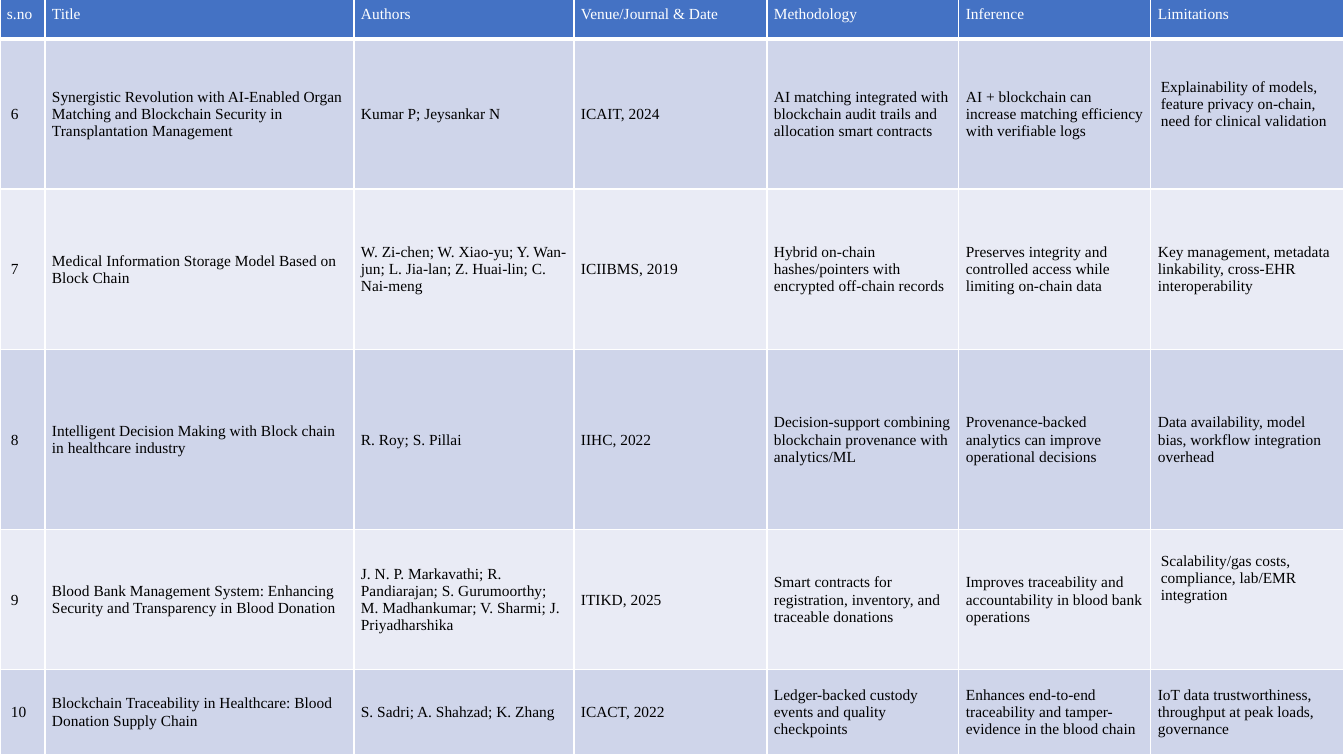
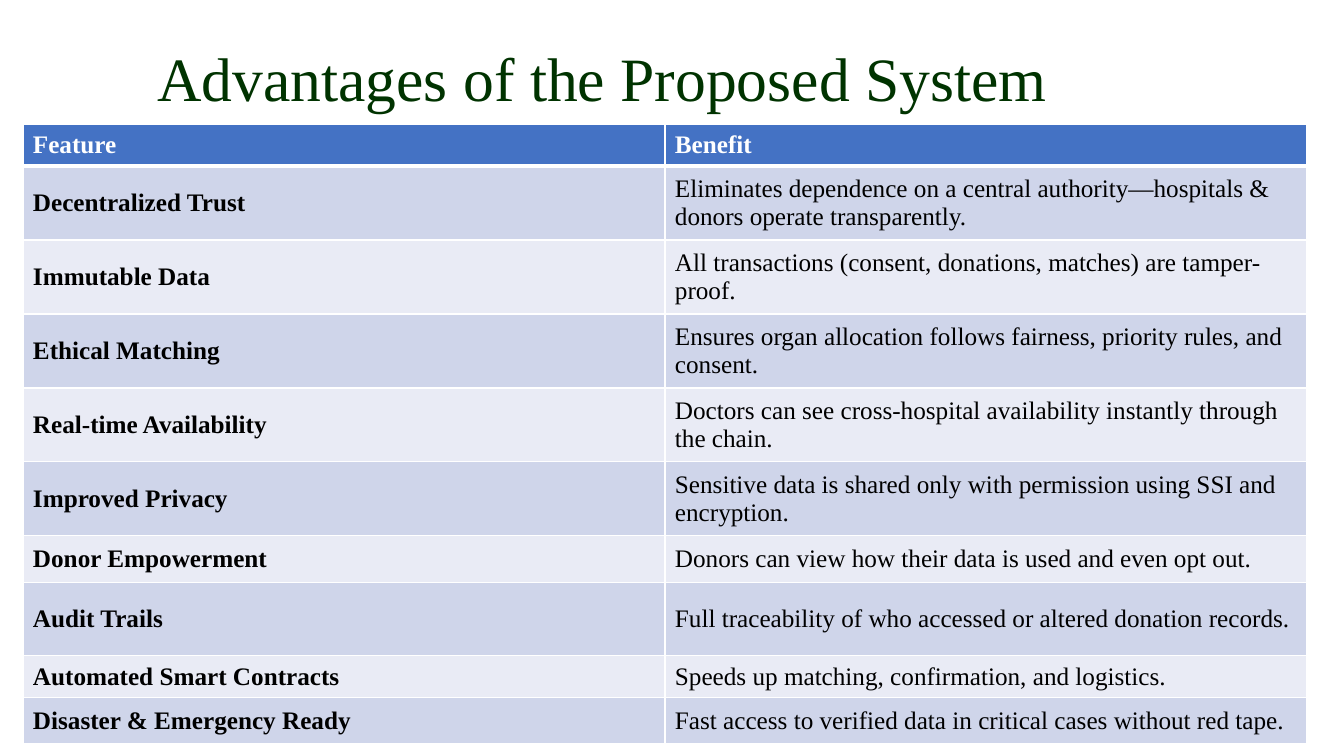
from lxml import etree
from pptx import Presentation
from pptx.dml.color import RGBColor
from pptx.enum.text import MSO_ANCHOR, PP_ALIGN
from pptx.oxml.ns import qn
from pptx.util import Pt

TOP, MIDDLE = MSO_ANCHOR.TOP, MSO_ANCHOR.MIDDLE
CENTER = PP_ALIGN.CENTER
FONT = "Times New Roman"
COLORS = {"head": "4472C4", "odd": "CFD5EA", "even": "E9EBF5", "rule": "FFFFFF",
          "light": "FFFFFF", "dark": "000000", "title": "003300"}
WIDE, HIGH = 1344, 756

PAPERS = [
    ("s.no", "Title", "Authors", "Venue/Journal & Date", "Methodology", "Inference", "Limitations"),
    ("6",
     "Synergistic Revolution with AI-Enabled Organ Matching and Blockchain Security in Transplantation Management",
     "Kumar P; Jeysankar N",
     "ICAIT, 2024",
     "AI matching integrated with blockchain audit trails and allocation smart contracts",
     "AI + blockchain can increase matching efficiency with verifiable logs",
     "Explainability of models, feature privacy on-chain, need for clinical validation"),
    ("7",
     "Medical Information Storage Model Based on Block Chain",
     "W. Zi-chen; W. Xiao-yu; Y. Wan-jun; L. Jia-lan; Z. Huai-lin; C. Nai-meng",
     "ICIIBMS, 2019",
     "Hybrid on-chain hashes/pointers with encrypted off-chain records",
     "Preserves integrity and controlled access while limiting on-chain data",
     "Key management, metadata linkability, cross-EHR interoperability"),
    ("8",
     "Intelligent Decision Making with Block chain in healthcare industry",
     "R. Roy; S. Pillai",
     "IIHC, 2022",
     "Decision-support combining blockchain provenance with analytics/ML",
     "Provenance-backed analytics can improve operational decisions",
     "Data availability, model bias, workflow integration overhead"),
    ("9",
     "Blood Bank Management System: Enhancing Security and Transparency in Blood Donation",
     "J. N. P. Markavathi; R. Pandiarajan; S. Gurumoorthy; M. Madhankumar; V. Sharmi; J. Priyadharshika",
     "ITIKD, 2025",
     "Smart contracts for registration, inventory, and traceable donations",
     "Improves traceability and accountability in blood bank operations",
     "Scalability/gas costs, compliance, lab/EMR integration"),
    ("10",
     "Blockchain Traceability in Healthcare: Blood Donation Supply Chain",
     "S. Sadri; A. Shahzad; K. Zhang",
     "ICACT, 2022",
     "Ledger-backed custody events and quality checkpoints",
     "Enhances end-to-end traceability and tamper-evidence in the blood chain",
     "IoT data trustworthiness, throughput at peak loads, governance"),
]
HEADING = "Advantages of the Proposed System"
GAINS = [
    ("Feature", "Benefit"),
    ("Decentralized Trust",
     "Eliminates dependence on a central authority—hospitals & donors operate transparently."),
    ("Immutable Data", "All transactions (consent, donations, matches) are tamper-proof."),
    ("Ethical Matching", "Ensures organ allocation follows fairness, priority rules, and consent."),
    ("Real-time Availability", "Doctors can see cross-hospital availability instantly through the chain."),
    ("Improved Privacy", "Sensitive data is shared only with permission using SSI and encryption."),
    ("Donor Empowerment", "Donors can view how their data is used and even opt out."),
    ("Audit Trails", "Full traceability of who accessed or altered donation records."),
    ("Automated Smart Contracts", "Speeds up matching, confirmation, and logistics."),
    ("Disaster & Emergency Ready", "Fast access to verified data in critical cases without red tape."),
]

PAPER_GRID = {"left": 0, "top": -1, "cols": [45, 309, 220, 193, 192, 192, 193],
              "rows": [40, 150, 161, 180, 140, 85]}
GAIN_GRID = {"left": 23, "top": 124, "cols": [642] * 2,
             "rows": [42] + [74] * 5 + [47, 73, 42, 46]}
LOWERED = {(1, 6): 40, (4, 6): 23}


def px(n):
    return round(n * 914400 / 100.8)


def rgb(name):
    return RGBColor.from_string(COLORS[name])


def apply(item, values):
    for key, value in values.items():
        setattr(item, key, value)


def style(para, size, color, bold):
    apply(para.font, {"name": FONT, "size": Pt(size), "bold": bold})
    para.font.color.rgb = rgb(color)


def border(cell, row):
    props = cell._tc.get_or_add_tcPr()
    widths = {"L": 1, "R": 1, "T": 3 if row == 1 else 1, "B": 3 if row == 0 else 1}
    for side, width in widths.items():
        line = etree.SubElement(props, qn(f"a:ln{side}"), w=str(Pt(width)))
        fill = etree.SubElement(line, qn("a:solidFill"))
        etree.SubElement(fill, qn("a:srgbClr"), val=COLORS["rule"])


def paper_look(row, col):
    if (row, col) in LOWERED:
        return (10, LOWERED[row, col], 10, 5), TOP, False
    if row == 0:
        return (7, 7, 7, 7), TOP, False
    return (7 if col else 11, 5, 7, 5), MIDDLE, False


def gain_look(row, col):
    return (10, 5, 10, 5), MIDDLE, row == 0 or col == 0


def add_grid(slide, data, grid, size, look):
    cols, rows = grid["cols"], grid["rows"]
    box = map(px, (grid["left"], grid["top"], sum(cols), sum(rows)))
    table = slide.shapes.add_table(len(rows), len(cols), *box).table
    table.horz_banding = False
    for col, width in zip(table.columns, cols):
        col.width = px(width)
    for row, height in zip(table.rows, rows):
        row.height = px(height)
    for r, line in enumerate(data):
        band = "head" if r == 0 else "odd" if r % 2 else "even"
        for c, text in enumerate(line):
            cell = table.cell(r, c)
            pads, anchor, bold = look(r, c)
            left, top, right, bottom = map(px, pads)
            apply(cell, {"text": text, "vertical_anchor": anchor,
                         "margin_left": left, "margin_top": top,
                         "margin_right": right, "margin_bottom": bottom})
            border(cell, r)
            cell.fill.solid()
            cell.fill.fore_color.rgb = rgb(band)
            style(cell.text_frame.paragraphs[0], size, "dark" if r else "light", bold)


def add_title(slide, text):
    title = slide.shapes.title
    apply(title, {"left": px(23), "top": px(32), "width": px(1159), "height": px(100)})
    apply(title.text_frame, {"text": text, "vertical_anchor": MIDDLE, "word_wrap": True})
    para = title.text_frame.paragraphs[0]
    apply(para, {"alignment": CENTER, "line_spacing": 0.9})
    style(para, 44, "title", False)


def main():
    deck = Presentation()
    apply(deck, {"slide_width": px(WIDE), "slide_height": px(HIGH)})
    only, blank = deck.slide_layouts[5], deck.slide_layouts[6]
    add_grid(deck.slides.add_slide(blank), PAPERS, PAPER_GRID, 11, paper_look)
    slide = deck.slides.add_slide(only)
    add_title(slide, HEADING)
    add_grid(slide, GAINS, GAIN_GRID, 18, gain_look)
    deck.save("out.pptx")


if __name__ == "__main__":
    main()
